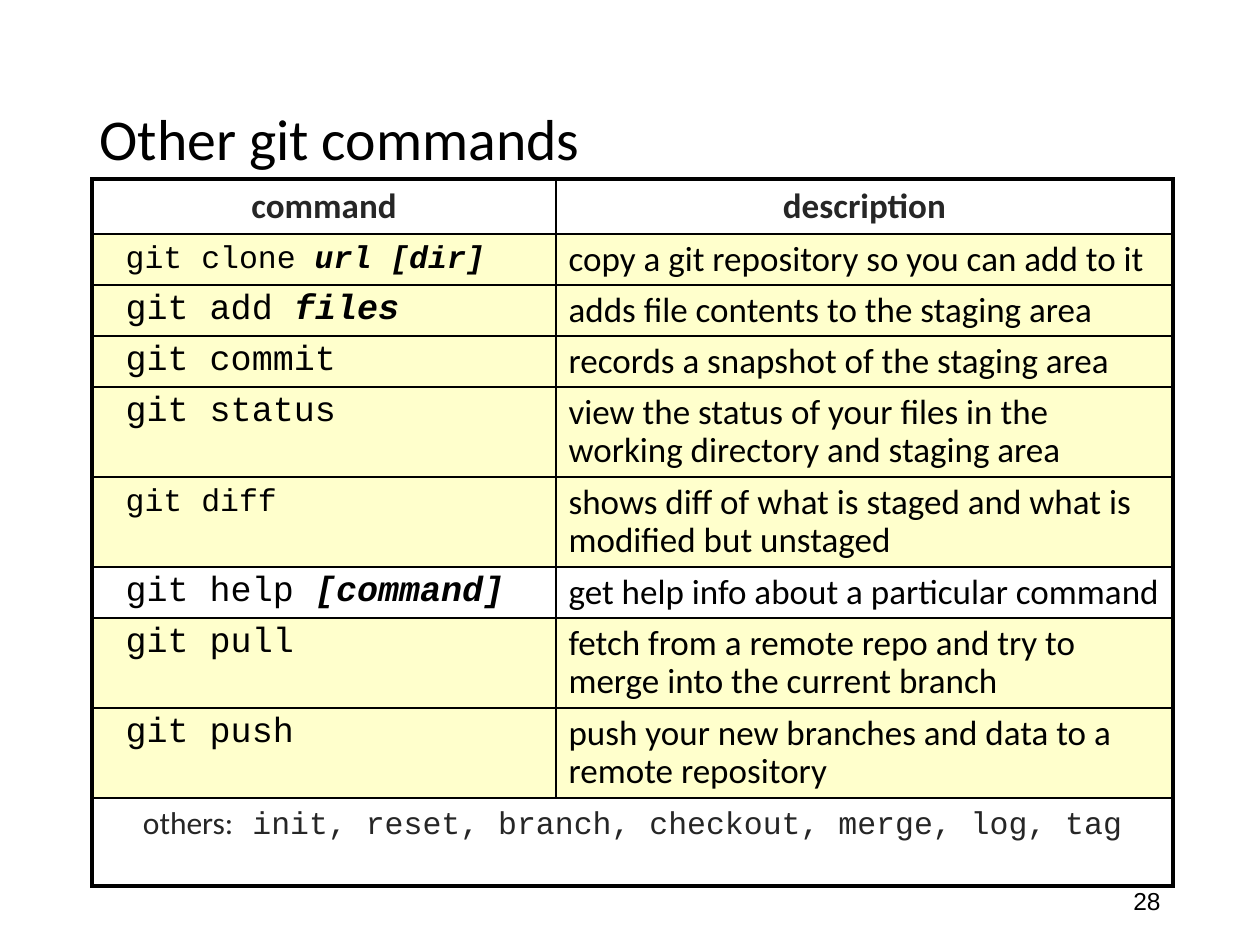
from lxml.etree import SubElement
from pptx import Presentation
from pptx.dml.color import RGBColor
from pptx.enum.text import MSO_ANCHOR as Anchor, MSO_AUTO_SIZE as AutoSize, PP_ALIGN as Align
from pptx.oxml.ns import qn
from pptx.util import Pt

PX = 914400 // 126
BLACK = RGBColor(0, 0, 0)
GRAY = RGBColor(0x26, 0x26, 0x26)
CREAM = RGBColor(0xFF, 0xFF, 0xCC)
BODY, MONO = "Calibri", "Courier New"
THICK, THIN = Pt(2.25), Pt(1)


def write(frame, *pieces, font=BODY, size=20, color=BLACK, bold=False,
          align=Align.LEFT, leading=None):
    """Fill the first paragraph; a piece is text or (text, overrides)."""
    para = frame.paragraphs[0]
    para.alignment = align
    if leading:
        para.line_spacing = leading
    for piece in pieces:
        text, extra = (piece, {}) if isinstance(piece, str) else piece
        span = para.add_run()
        span.text = text
        span.font.name = extra.get("font", font)
        span.font.size = Pt(extra.get("size", size))
        span.font.bold = extra.get("bold", bold)
        span.font.italic = extra.get("italic", False)
        span.font.color.rgb = color


def draw_borders(cell, **widths):
    props = cell._tc.get_or_add_tcPr()
    for side in "LRTB":
        line = SubElement(props, qn(f"a:ln{side}"), w=str(widths[side]))
        fill = SubElement(line, qn("a:solidFill"))
        SubElement(fill, qn("a:srgbClr"), val=str(BLACK))


deck = Presentation()
deck.slide_width, deck.slide_height = 1260 * PX, 945 * PX
page = deck.slides.add_slide(deck.slide_layouts[5])

title = page.shapes.title
title.left, title.top, title.width, title.height = 87 * PX, 50 * PX, 1086 * PX, 183 * PX
title.text_frame.auto_size = AutoSize.NONE
title.text_frame.vertical_anchor = Anchor.MIDDLE
title.text_frame.word_wrap = True
write(title.text_frame, "Other git commands", size=33, leading=0.9)

number = page.shapes.add_textbox(890 * PX, 876 * PX, 283 * PX, 50 * PX)
number.text_frame.word_wrap = True
number.text_frame.vertical_anchor = Anchor.MIDDLE
write(number.text_frame, "28", font="Arial", size=14, align=Align.RIGHT)

# Command, its argument, command size, description
COMMANDS = [
    ("git clone ", "url [dir]", 18, "copy a git repository so you can add to it"),
    ("git add ", "files", 20, "adds file contents to the staging area"),
    ("git commit", "", 20, "records a snapshot of the staging area"),
    ("git status", "", 20,
     "view the status of your files in the working directory and staging area"),
    ("git diff", "", 18, "shows diff of what is staged and what is modified but unstaged"),
    ("git help ", "[command]", 20, "get help info about a particular command"),
    ("git pull", "", 20, "fetch from a remote repo and try to merge into the current branch"),
    ("git push", "", 20, "push your new branches and data to a remote repository"),
]
COLUMN_WIDTHS = [464, 617]
ROW_HEIGHTS = [55, 51, 51, 51, 90, 90, 51, 90, 90, 88]
PLAIN_ROWS = {0, 6, 9}
last = len(ROW_HEIGHTS) - 1

table = page.shapes.add_table(len(ROW_HEIGHTS), 2, 92 * PX, 179 * PX,
                              sum(COLUMN_WIDTHS) * PX, sum(ROW_HEIGHTS) * PX).table
table.first_row = table.horz_banding = False
for column, width in zip(table.columns, COLUMN_WIDTHS):
    column.width = width * PX
for r, height in enumerate(ROW_HEIGHTS):
    table.rows[r].height = height * PX
    for c in range(2):
        cell = table.cell(r, c)
        draw_borders(cell, L=THIN if c else THICK,
                     R=THICK if c or r == last else THIN,
                     T=THIN if r else THICK, B=THICK if r == last else THIN)
        if r in PLAIN_ROWS:
            cell.fill.background()
        else:
            cell.fill.solid()
            cell.fill.fore_color.rgb = CREAM

for c, heading in enumerate(["command", "description"]):
    write(table.cell(0, c).text_frame, heading, color=GRAY, bold=True, align=Align.CENTER)

for r, (command, argument, size, description) in enumerate(COMMANDS, start=1):
    pieces = [" ", (command, {"size": size})]
    if argument:
        pieces.append((argument, {"size": size, "bold": True, "italic": True}))
    write(table.cell(r, 0).text_frame, *pieces, font=MONO, leading=0.9)
    write(table.cell(r, 1).text_frame, description, leading=0.9)

others = table.cell(last, 0)
others.merge(table.cell(last, 1))
write(others.text_frame, "others:",
      (" init, reset, branch, checkout, merge, log, tag", {"font": MONO}),
      size=18, color=GRAY, align=Align.CENTER)

deck.save("out.pptx")
